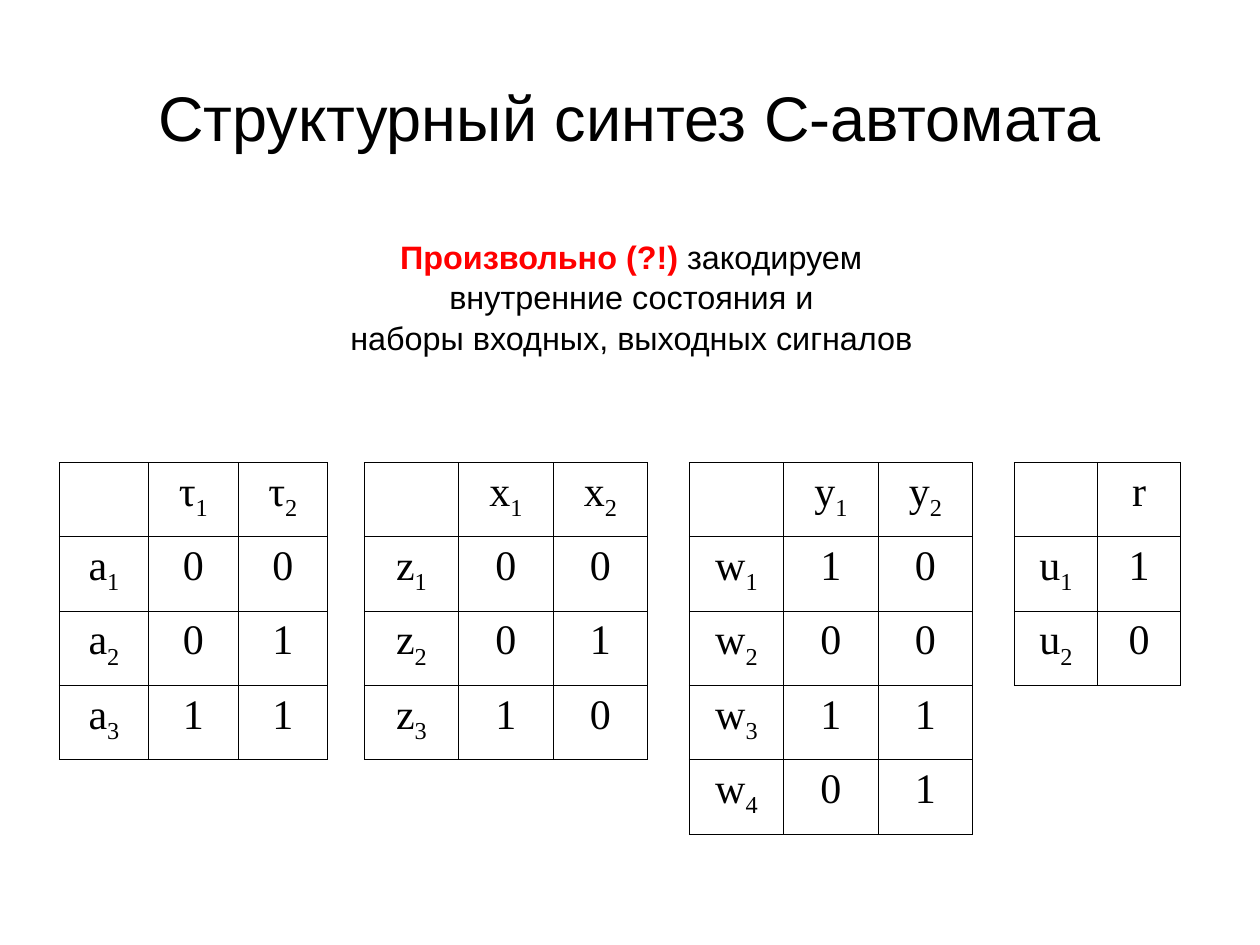
from lxml import etree
from pptx import Presentation
from pptx.dml.color import RGBColor
from pptx.enum import text as enum
from pptx.oxml import ns
from pptx.util import Inches, Pt


def paint(font, tone):
    font.color.rgb = RGBColor.from_string(tone)


def write(para, words, size=24, face="Times New Roman", tone="000000", bold=False, sub=False):
    para.alignment = enum.PP_ALIGN.CENTER
    run = para.add_run()
    run.text = words
    run.font.size = Pt(size)
    run.font.name = face
    run.font.bold = bold
    paint(run.font, tone)
    if sub:
        run.font._element.set("baseline", "-25000")


deck = Presentation()
deck.slide_width, deck.slide_height = Inches(10), Inches(7.5)
slide = deck.slides.add_slide(deck.slide_layouts[6])

title = slide.shapes.add_textbox(Inches(0.5), Inches(0.3), Inches(9), Inches(1.25)).text_frame
title.word_wrap = True
title.vertical_anchor = enum.MSO_ANCHOR.MIDDLE
write(title.paragraphs[0], "Структурный синтез С-автомата", size=36, face="Arial")

note = slide.shapes.add_textbox(Inches(0.51), Inches(1.83), Inches(9), Inches(1.06)).text_frame
note.word_wrap = True
body = dict(size=18.5, face="Arial")
write(note.paragraphs[0], "Произвольно (?!)", tone="FF0000", bold=True, **body)
write(note.paragraphs[0], " закодируем", **body)
for line in ["внутренние состояния и", "наборы входных, выходных сигналов"]:
    para = note.add_paragraph()
    para.space_before = Pt(1)
    write(para, line, **body)

codes = [
    (0.47, 0.71, [["", "τ_1", "τ_2"], ["а_1", "0", "0"], ["a_2", "0", "1"], ["a_3", "1", "1"]]),
    (2.89, 0.75, [["", "x_1", "x_2"], ["z_1", "0", "0"], ["z_2", "0", "1"], ["z_3", "1", "0"]]),
    (5.47, 0.75, [["", "y_1", "y_2"], ["w_1", "1", "0"], ["w_2", "0", "0"],
                  ["w_3", "1", "1"], ["w_4", "0", "1"]]),
    (8.05, 0.66, [["", "r"], ["u_1", "1"], ["u_2", "0"]]),
]
high = 0.59
for left, wide, rows in codes:
    count = len(rows[0])
    grid = slide.shapes.add_table(len(rows), count, Inches(left), Inches(3.67),
                                  Inches(wide * count), Inches(high * len(rows))).table
    grid.first_row = grid.horz_banding = False
    for col in grid.columns:
        col.width = Inches(wide)
    for r, row in enumerate(rows):
        grid.rows[r].height = Inches(high)
        for c, label in enumerate(row):
            cell = grid.cell(r, c)
            cell.margin_left = cell.margin_right = Inches(0.07)
            cell.margin_top = cell.margin_bottom = Inches(0.05)
            props = cell._tc.get_or_add_tcPr()
            for side in ["lnL", "lnR", "lnT", "lnB"]:
                edge = etree.SubElement(props, ns.qn("a:" + side), w=str(Pt(0.45)))
                fill = etree.SubElement(edge, ns.qn("a:solidFill"))
                etree.SubElement(fill, ns.qn("a:srgbClr"), val="000000")
            cell.fill.background()
            base, _, index = label.partition("_")
            para = cell.text_frame.paragraphs[0]
            if base:
                write(para, base)
            if index:
                write(para, index, sub=True)

deck.save("out.pptx")
